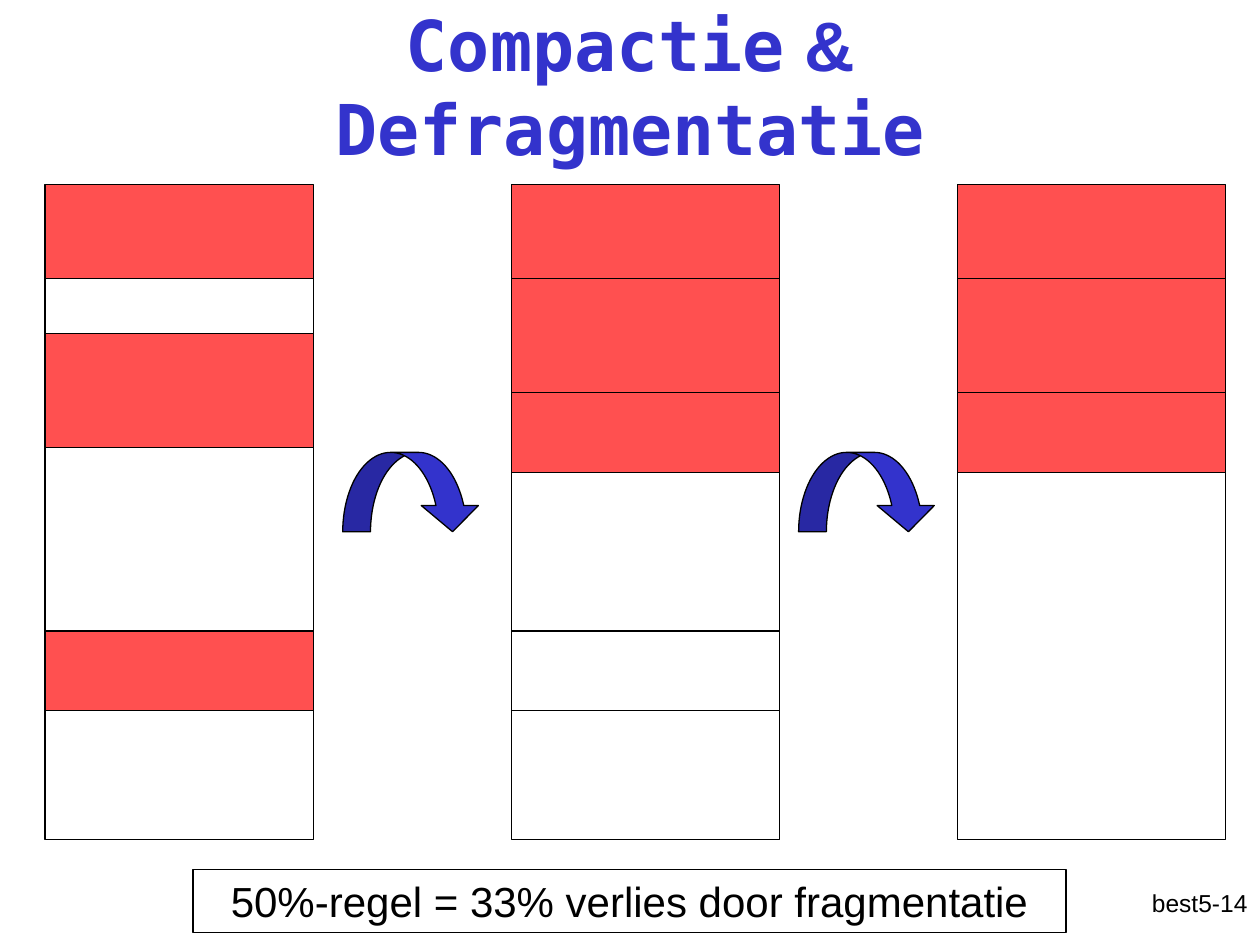
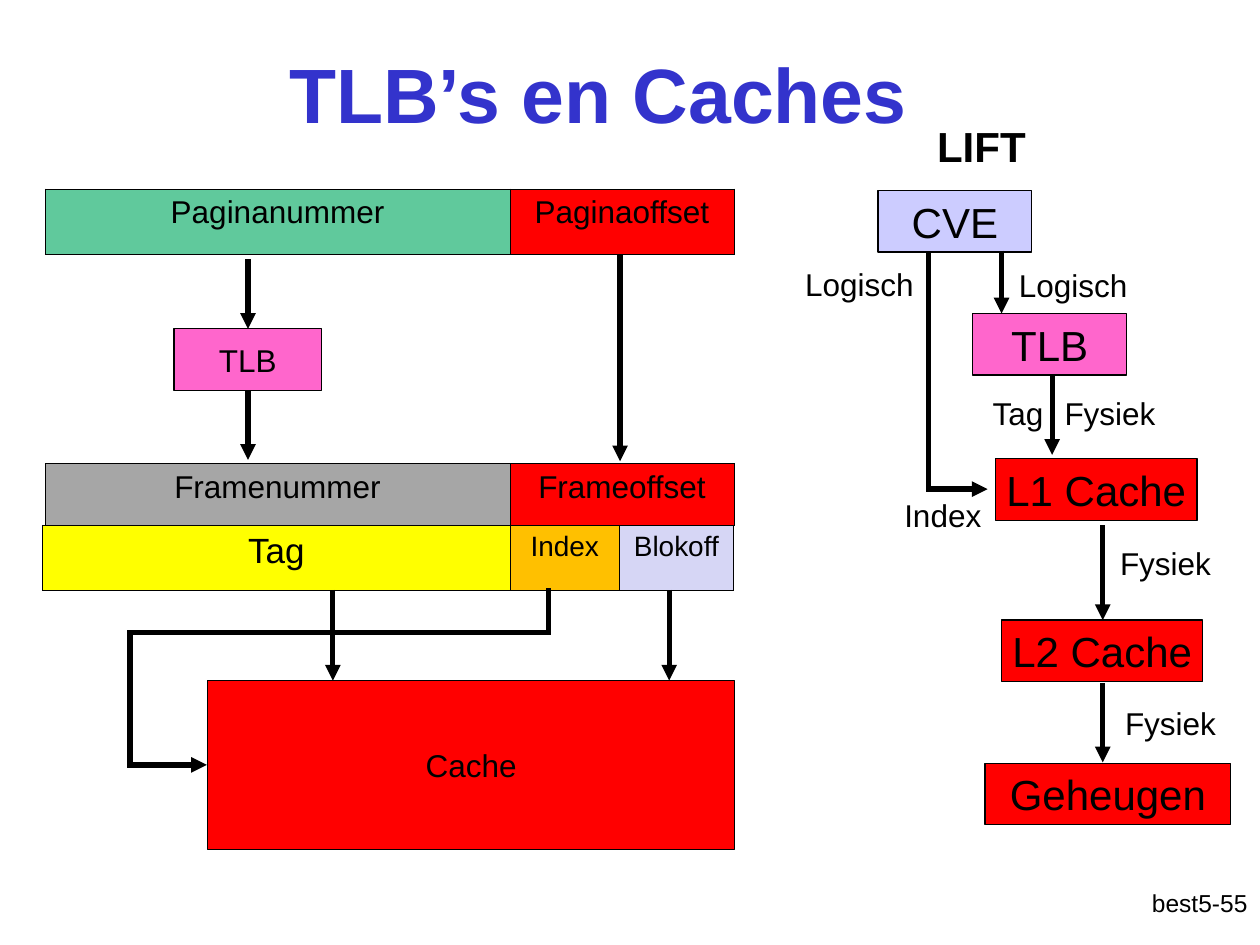
from dataclasses import dataclass

from lxml import etree
from pptx import Presentation
from pptx import util as u
from pptx.dml.color import RGBColor
from pptx.enum import shapes, text
from pptx.oxml.ns import qn


@dataclass(frozen=True)
class Theme:
    font: str = "Arial"
    mono: str = "DejaVu Sans Mono"
    ink: str = "000000"
    title: str = "3333CC"
    used: str = "FF5050"
    red: str = "FF0000"
    pink: str = "FF66CC"
    lilac: str = "CCCCFF"
    pale_lilac: str = "D6D6F5"
    green: str = "60C99C"
    grey: str = "A6A6A6"
    yellow: str = "FFFF00"
    orange: str = "FFC000"
    title_size: int = 44
    long_title_size: int = 40
    large: int = 24
    tag_size: int = 20
    body: int = 18
    small: int = 16
    footer: int = 14
    outline: float = 0.75
    cell_border: float = 0.45
    arrow: float = 3


T = Theme()

# All positions and sizes are in centimetres.
FOOTER_BOX = (20.12, 17.78, 5.28, 1.27)

# Slide 1: memory maps as (left, [(height, in use), ...])
MAP_TOP, MAP_WIDTH = 3.72, 5.41
MEMORY_MAPS = [
    (0.91, [(1.9, True), (1.1, False), (2.3, True), (3.7, False), (1.6, True), (2.6, False)]),
    (10.31, [(1.9, True), (2.3, True), (1.6, True), (3.2, False), (1.6, False), (2.6, False)]),
    (19.3, [(1.9, True), (2.3, True), (1.6, True), (7.4, False)]),
]
STEP_ARROW_LEFTS = [6.91, 16.1]
RULE = "50%-regel = 33% verlies door fragmentatie"

# Slide 2: address rows as (left, top, height, [(text, fill, size, width), ...])
ADDRESS_ROWS = [
    (0.91, 3.81, 1.32, [("Paginanummer", T.green, T.body, 9.37),
                        ("Paginaoffset", T.red, T.body, 4.52)]),
    (0.91, 9.35, 1.24, [("Framenummer", T.grey, T.body, 9.37),
                        ("Frameoffset", T.red, T.body, 4.52)]),
    (0.86, 10.59, 1.32, [("Tag", T.yellow, T.tag_size, 9.42),
                         ("Index", T.orange, T.small, 2.21),
                         ("Blokoff", T.pale_lilac, T.small, 2.29)]),
]
UNITS = [  # text, box, fill, size
    ("CVE", (17.7, 3.84, 3.1, 1.24), T.lilac, T.large),
    ("TLB", (19.61, 6.32, 3.1, 1.24), T.pink, T.large),
    ("L1 Cache", (20.07, 9.25, 4.06, 1.24), T.red, T.large),
    ("L2 Cache", (20.19, 12.5, 4.06, 1.24), T.red, T.large),
    ("Geheugen", (19.86, 15.39, 4.95, 1.24), T.red, T.large),
    ("TLB", (3.51, 6.63, 2.97, 1.24), T.pink, T.body),
    ("Cache", (4.19, 13.72, 10.62, 3.4), T.red, T.body),
]
LABEL_SIZE = (2.9, 1.02)
LABELS = [
    ("Logisch", 15.98, 5.21), ("Logisch", 20.29, 5.23),
    ("Tag", 19.76, 7.82), ("Fysiek", 21.21, 7.82),
    ("Index", 17.98, 9.88), ("Fysiek", 22.33, 10.85),
    ("Fysiek", 22.43, 14.07),
]
ROUTES = [  # corner points, ending in an arrowhead
    [(5, 5.23), (5, 6.63)],
    [(5, 7.87), (5, 9.27)],
    [(12.5, 5.13), (12.5, 9.3)],
    [(6.71, 11.89), (6.71, 13.72)],
    [(13.49, 11.89), (13.49, 13.72)],
    [(11.06, 11.91), (11.06, 12.75), (2.62, 12.75), (2.62, 15.42), (4.17, 15.42)],
    [(18.72, 5.11), (18.72, 9.86), (19.91, 9.86)],
    [(20.19, 5.05), (20.19, 6.32)],
    [(21.21, 7.57), (21.21, 9.17)],
    [(22.23, 10.59), (22.23, 12.5)],
    [(22.23, 13.77), (22.23, 15.37)],
]


def cm(values):
    return [u.Cm(v) for v in values]


def write(tf, runs, size=T.body, color=T.ink, bold=False, align="CENTER",
          anchor="TOP", wrap=True):
    """Fill a text frame; runs is a string or a list of (text, font)."""
    tf.word_wrap = wrap
    tf.vertical_anchor = text.MSO_ANCHOR[anchor]
    p = tf.paragraphs[0]
    p.alignment = text.PP_ALIGN[align]
    for content, font in [(runs, T.font)] if isinstance(runs, str) else runs:
        r = p.add_run()
        r.text = content
        r.font.name = font
        r.font.size = u.Pt(size)
        r.font.bold = bold
        r.font.color.rgb = RGBColor.from_string(color)


def add_text(s, runs, box, **fmt):
    write(s.shapes.add_textbox(*cm(box)).text_frame, runs, **fmt)


def add_shape(s, box, fill=None, kind="RECTANGLE"):
    sp = s.shapes.add_shape(shapes.MSO_SHAPE[kind], *cm(box))
    sp.shadow.inherit = False
    if fill:
        sp.fill.solid()
        sp.fill.fore_color.rgb = RGBColor.from_string(fill)
    else:
        sp.fill.background()
    sp.line.color.rgb = RGBColor.from_string(T.ink)
    sp.line.width = u.Pt(T.outline)
    return sp


def add_route(s, points):
    """Draw straight segments through the points, the last with an arrowhead."""
    for start, end in zip(points, points[1:]):
        line = s.shapes.add_connector(shapes.MSO_CONNECTOR.STRAIGHT, *cm(start + end))
        line.line.color.rgb = RGBColor.from_string(T.ink)
        line.line.width = u.Pt(T.arrow)
        ln = line.line._get_or_add_ln()
        if end == points[-1]:
            etree.SubElement(ln, qn("a:tailEnd"), type="triangle")
        else:
            ln.set("cap", "sq")
        etree.SubElement(line._element.spPr, qn("a:effectLst"))


def add_borders(cell):
    tc_pr = cell._tc.get_or_add_tcPr()
    for side in "LRTB":
        ln = etree.SubElement(tc_pr, qn(f"a:ln{side}"), w=str(u.Pt(T.cell_border)))
        fill = etree.SubElement(ln, qn("a:solidFill"))
        etree.SubElement(fill, qn("a:srgbClr"), val=T.ink)


def add_address_row(s, left, top, height, fields):
    width = sum(field[3] for field in fields)
    frame = s.shapes.add_table(1, len(fields), *cm((left, top, width, height)))
    table = frame.table
    table.first_row = table.horz_banding = False
    for i, (name, fill, size, field_width) in enumerate(fields):
        table.columns[i].width = u.Cm(field_width)
        cell = table.cell(0, i)
        add_borders(cell)
        cell.fill.solid()
        cell.fill.fore_color.rgb = RGBColor.from_string(fill)
        write(cell.text_frame, name, size=size)


def add_slide(prs, title, title_box, title_size, number):
    s = prs.slides.add_slide(prs.slide_layouts[6])
    add_text(s, title, title_box, size=title_size, color=T.title, bold=True, anchor="MIDDLE")
    add_text(s, f"best5-{number}", FOOTER_BOX, size=T.footer, align="RIGHT")
    return s


def compaction_slide(prs):
    title = [("Compactie", T.mono), (" & ", T.font), ("Defragmentatie", T.mono)]
    s = add_slide(prs, title, (1.91, 0.13, 21.59, 3.18), T.long_title_size, 14)
    for left, blocks in MEMORY_MAPS:
        top = MAP_TOP
        for height, in_use in blocks:
            add_shape(s, (left, top, MAP_WIDTH, height), T.used if in_use else None)
            top += height
    for left in STEP_ARROW_LEFTS:
        arrow = add_shape(s, (left, 9.12, 2.79, 1.6), T.title, "CURVED_DOWN_ARROW")
        for i, value in enumerate((0.35, 0.72, 0.33)):
            arrow.adjustments[i] = value
    rule = add_shape(s, (3.89, 17.53, 17.6, 1.27))
    write(rule.text_frame, RULE, size=T.large)


def cache_slide(prs):
    s = add_slide(prs, "TLB’s en Caches", (1.27, 0.28, 21.59, 3.18), T.title_size, 55)
    add_text(s, "LIFT", (17.98, 2.31, 3.61, 1.27), size=T.large, bold=True)
    for row in ADDRESS_ROWS:
        add_address_row(s, *row)
    for name, box, fill, size in UNITS:
        unit = add_shape(s, box, fill)
        write(unit.text_frame, name, size=size, anchor="MIDDLE", wrap=False)
    for points in ROUTES:
        add_route(s, points)
    for name, left, top in LABELS:
        add_text(s, name, (left, top, *LABEL_SIZE), align="LEFT")


def main():
    prs = Presentation()
    prs.slide_width, prs.slide_height = cm((25.4, 19.05))
    compaction_slide(prs)
    cache_slide(prs)
    prs.save("out.pptx")


if __name__ == "__main__":
    main()
